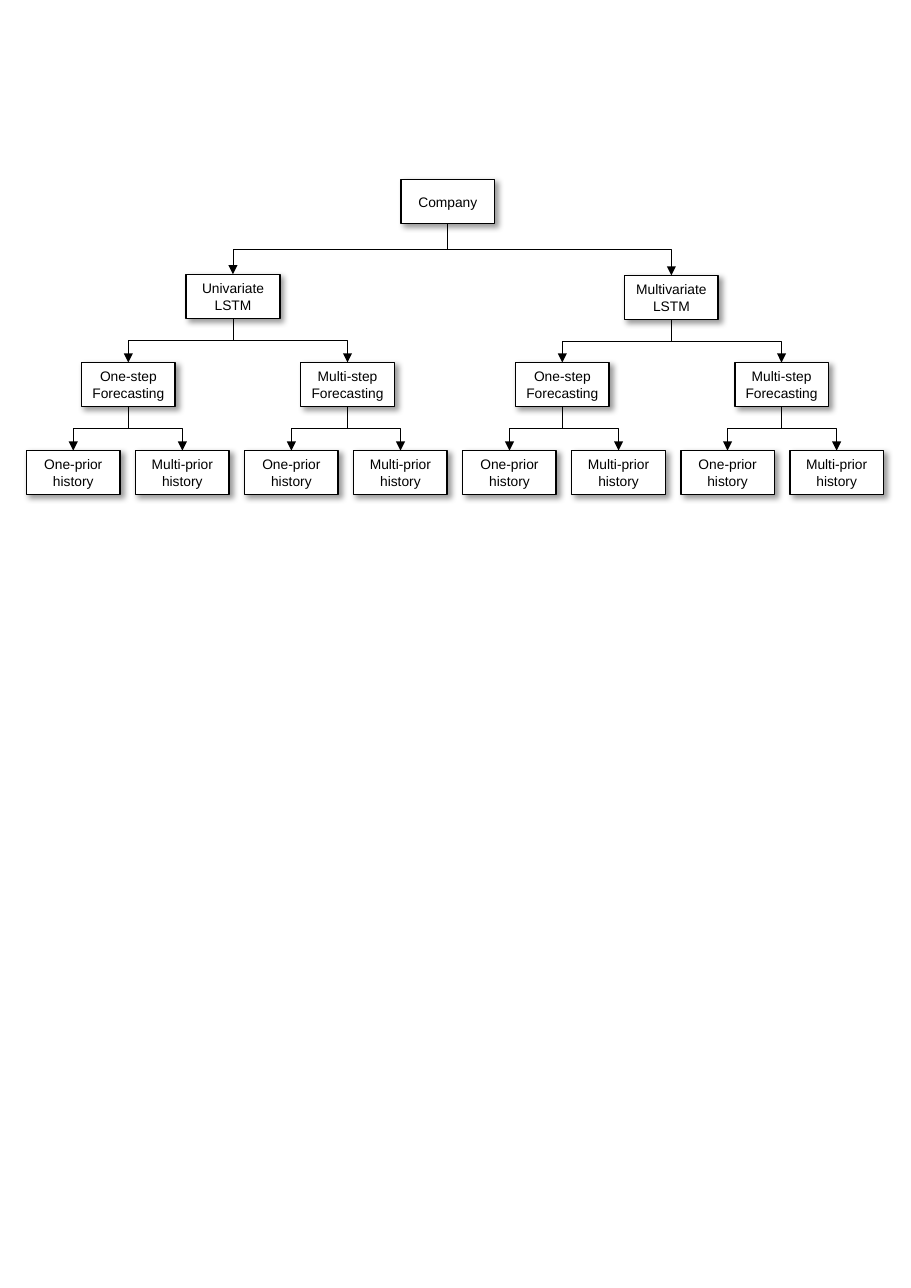
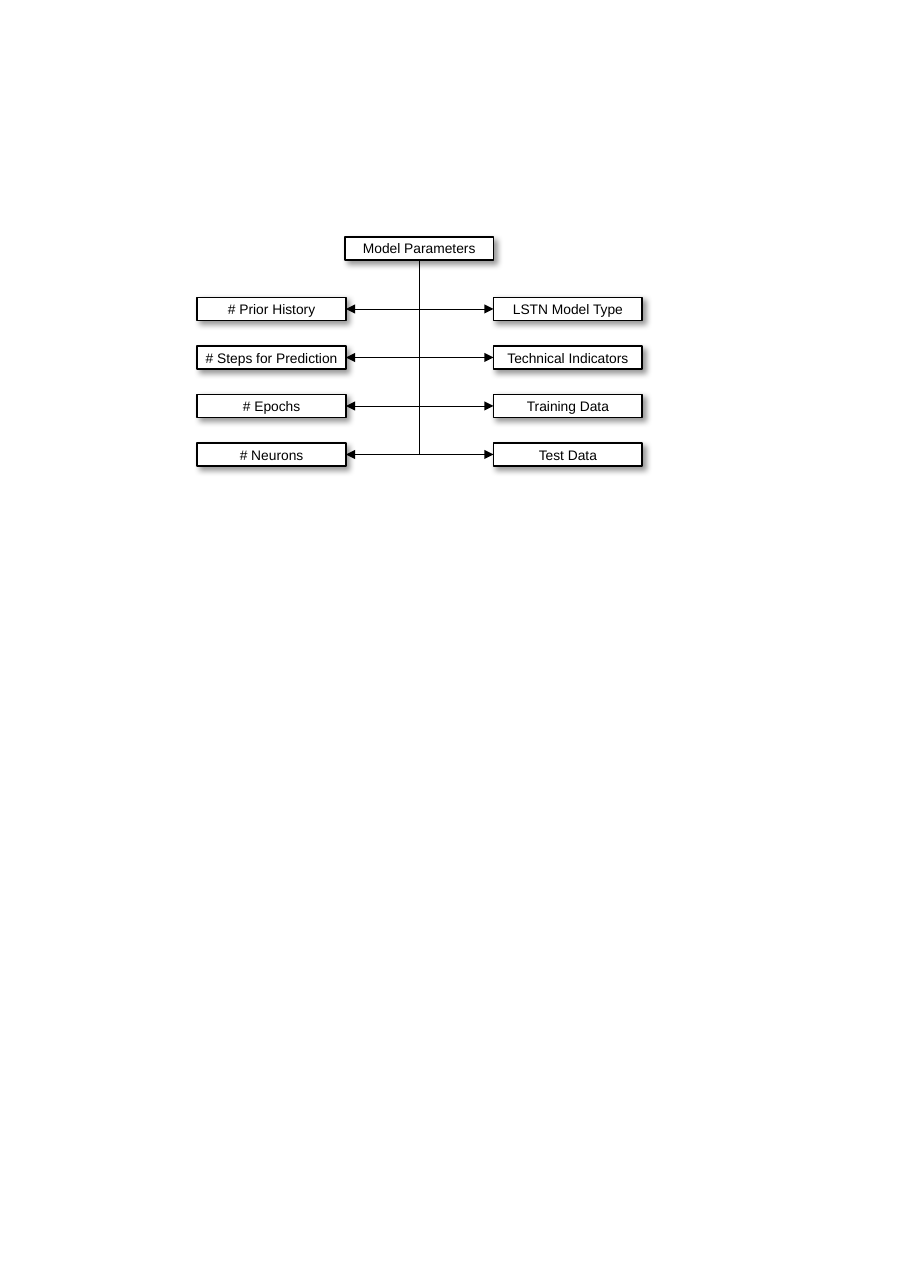
from lxml.etree import SubElement
from pptx import Presentation
from pptx.dml.color import RGBColor
from pptx.enum.shapes import MSO_CONNECTOR, MSO_SHAPE
from pptx.enum.text import MSO_ANCHOR, PP_ALIGN
from pptx.oxml.ns import qn
from pptx.util import Inches, Pt

BLACK = RGBColor(0, 0, 0)
WHITE = RGBColor(255, 255, 255)
FRAME = {"word_wrap": True, "vertical_anchor": MSO_ANCHOR.MIDDLE, "margin_left": 0,
         "margin_right": 0, "margin_top": 0, "margin_bottom": 0}
FONT = {"name": "Arial", "size": Pt(9)}
SHADOW = {"blurRad": Pt(4), "dist": Pt(3), "dir": 45 * 60000, "algn": "tl", "rotWithShape": 0}
TOP, LEFT, BOTTOM, RIGHT = range(4)  # connection sites of a rectangle


def add_box(page, text, left, top, width, height):
    """Add a white box with a black outline, a soft shadow and centred text."""
    box = page.shapes.add_shape(MSO_SHAPE.RECTANGLE, Inches(left), Inches(top),
                                Inches(width), Inches(height))
    box.fill.solid()
    box.fill.fore_color.rgb = WHITE
    box.line.color.rgb = BLACK
    box.line.width = Pt(1)
    box.shadow.inherit = False
    effects = box.element.spPr.find(qn("a:effectLst"))
    shadow = SubElement(effects, qn("a:outerShdw"), {key: str(value) for key, value in SHADOW.items()})
    color = SubElement(shadow, qn("a:srgbClr"), val=str(BLACK))
    SubElement(color, qn("a:alpha"), val="40000")
    for name, value in FRAME.items():
        setattr(box.text_frame, name, value)
    para = box.text_frame.paragraphs[0]
    para.alignment = PP_ALIGN.CENTER
    span = para.add_run()
    span.text = text
    span.font.color.rgb = BLACK
    for name, value in FONT.items():
        setattr(span.font, name, value)
    return box


def add_arrow(page, parent, child, site, preset):
    """Join the bottom of parent to a site of child with an elbow arrow."""
    arrow = page.shapes.add_connector(MSO_CONNECTOR.ELBOW, 0, 0, 0, 0)
    arrow.begin_connect(parent, BOTTOM)
    arrow.end_connect(child, site)
    begin_x, begin_y, end_x, end_y = arrow.begin_x, arrow.begin_y, arrow.end_x, arrow.end_y
    # The elbow leaves downwards, so its frame is turned by a quarter
    across, down = abs(end_x - begin_x), end_y - begin_y
    frame = {"left": (begin_x + end_x - down) // 2, "top": (begin_y + end_y - across) // 2,
             "width": down, "height": across}
    for name, value in frame.items():
        setattr(arrow, name, value)
    properties = arrow.element.spPr
    to_right = end_x > begin_x
    turn = {"rot": 270.0 if to_right else 90.0, "flipH": to_right, "flipV": False}
    for name, value in turn.items():
        setattr(properties.xfrm, name, value)
    properties.prstGeom.set("prst", preset)
    arrow.line.color.rgb = BLACK
    arrow.line.width = Pt(0.5)
    SubElement(properties.get_or_add_ln(), qn("a:tailEnd"), type="triangle")
    SubElement(properties, qn("a:effectLst"))


deck = Presentation()
deck.slide_width, deck.slide_height = Inches(8.27), Inches(11.69)
blank = deck.slide_layouts[6]

# Slide 1: tree of forecasting models, each box with two children
page = deck.slides.add_slide(blank)
levels = [
    (["Company"], [(3.64, 1.63)]),
    (["Univariate LSTM", "Multivariate LSTM"], [(1.69, 2.49), (5.67, 2.5)]),
    (["One-step Forecasting", "Multi-step Forecasting"],
     [(left, 3.29) for left in (0.74, 2.73, 4.68, 6.67)]),
    (["One-prior history", "Multi-prior history"],
     [(0.24 + 0.99 * column, 4.09) for column in range(8)]),
]
parents = []
for labels, places in levels:
    boxes = [add_box(page, labels[index % len(labels)], left, top, 0.85, 0.4)
             for index, (left, top) in enumerate(places)]
    if parents:
        for index, box in enumerate(boxes):
            add_arrow(page, parents[index // 2], box, TOP, "bentConnector3")
    parents = boxes

# Slide 2: model parameters on both sides of a trunk
page = deck.slides.add_slide(blank)
root = add_box(page, "Model Parameters", 3.13, 2.15, 1.35, 0.21)
sides = [
    (1.79, RIGHT, ["# Prior History", "# Steps for Prediction", "# Epochs", "# Neurons"]),
    (4.48, LEFT, ["LSTN Model Type", "Technical Indicators", "Training Data", "Test Data"]),
]
for left, site, labels in sides:
    for row, label in enumerate(labels):
        box = add_box(page, label, left, 2.7 + 0.44 * row, 1.35, 0.21)
        add_arrow(page, root, box, site, "bentConnector2")

deck.save("out.pptx")
